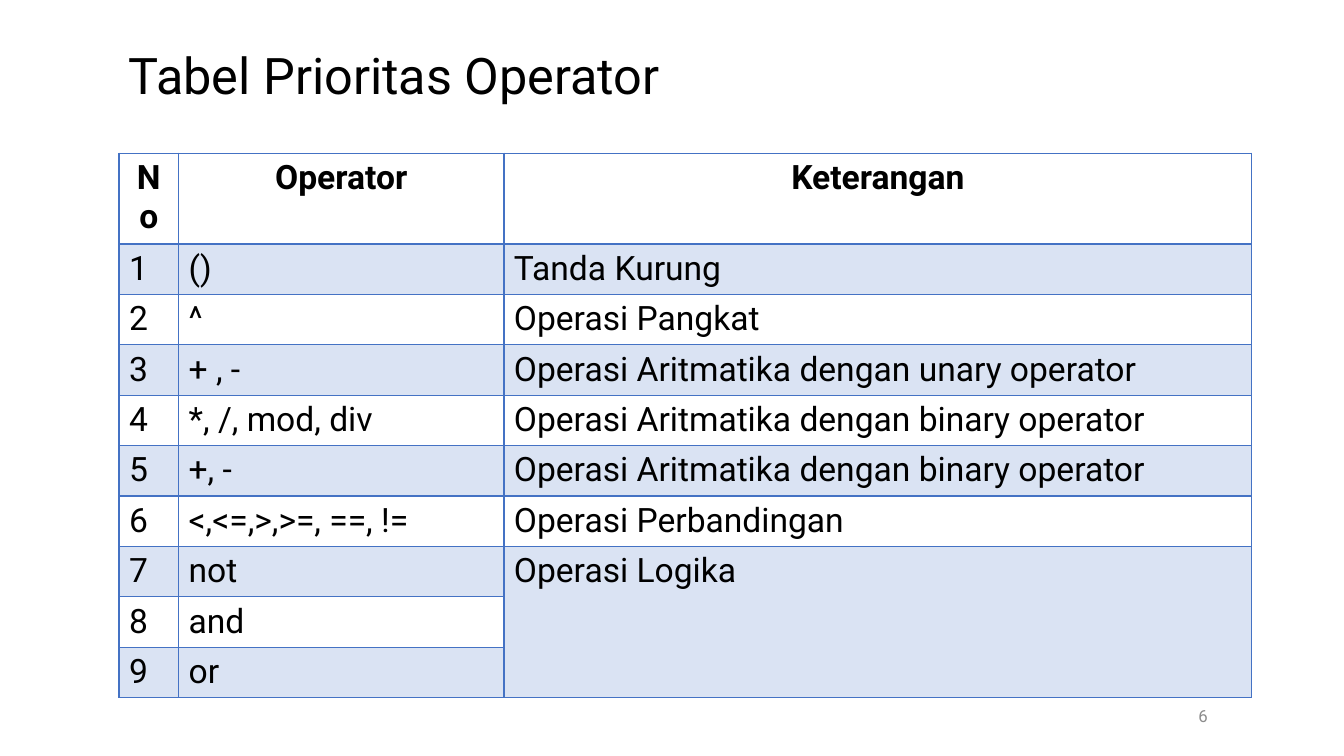
from dataclasses import dataclass

from lxml import etree
from pptx import Presentation
from pptx.dml.color import RGBColor
from pptx.enum import text as tx
from pptx.oxml import ns
from pptx.util import Cm, Pt

HUES = {"ink": "000000", "line": "4472C4", "band": "DAE3F3", "page": "8C8C8C"}
FONT = "Roboto"
WIDTHS = (1.5, 8.2, 18.85)
HEAD = ("No", "Operator", "Keterangan")
TOP, TALL = 2.29, 1.27


@dataclass
class Rank:
    sign: str
    note: str = ""


@dataclass
class Label:
    words: str
    box: tuple[float, float, float, float]
    size: int
    hue: str = "ink"
    align: tx.PP_ALIGN = tx.PP_ALIGN.LEFT
    lead: float = 1.0


RANKS = (
    Rank("()", "Tanda Kurung"),
    Rank("^", "Operasi Pangkat"),
    Rank("+ , -", "Operasi Aritmatika dengan unary operator"),
    Rank("*, /, mod, div", "Operasi Aritmatika dengan binary operator"),
    Rank("+, -", "Operasi Aritmatika dengan binary operator"),
    Rank("<,<=,>,>=, ==, !=", "Operasi Perbandingan"),
    Rank("not", "Operasi Logika"),
    Rank("and"),
    Rank("or"),
)
LABELS = (
    Label("6", (6.99, 17.53, 23.7, 1.02), 12, "page", tx.PP_ALIGN.RIGHT),
    Label("Tabel Prioritas Operator", (3, 1.02, 25.17, 1.88), 36, lead=0.9),
)


def write(frame, words: str, *, size: int = 24, hue: str = "ink",
          bold: bool = False, align=tx.PP_ALIGN.LEFT, lead: float = 1.0) -> None:
    para = frame.paragraphs[0]
    para.alignment = align
    para.line_spacing = lead
    run = para.add_run()
    run.text = words
    font = run.font
    font.name, font.size, font.bold = FONT, Pt(size), bold
    font.color.rgb = RGBColor.from_string(HUES[hue])


def edge(cell, **sides: float) -> None:
    """Draw cell borders; each side (L, R, T, B) has a width in points."""
    props = cell._tc.get_or_add_tcPr()
    for side, width in sides.items():
        line = etree.SubElement(props, ns.qn(f"a:ln{side}"), w=str(Pt(width)))
        fill = etree.SubElement(line, ns.qn("a:solidFill"))
        etree.SubElement(fill, ns.qn("a:srgbClr"), val=HUES["line"])


def paint(cell, band: bool) -> None:
    if band:
        cell.fill.solid()
        cell.fill.fore_color.rgb = RGBColor.from_string(HUES["band"])
    else:
        cell.fill.background()


def grid(slide) -> None:
    rows = [HEAD] + [(str(i), r.sign, r.note) for i, r in enumerate(RANKS, 1)]
    shape = slide.shapes.add_table(
        len(rows), len(HEAD), Cm(3), Cm(3.86),
        Cm(sum(WIDTHS)), Cm(TOP + TALL * len(RANKS)))
    table = shape.table
    table.first_row = table.horz_banding = False
    for col, width in zip(table.columns, WIDTHS):
        col.width = Cm(width)
    for i, row in enumerate(rows):
        head = i == 0
        table.rows[i].height = Cm(TOP if head else TALL)
        for j, words in enumerate(row):
            cell = table.cell(i, j)
            edge(cell, L=1, R=1, T=2 if i == 1 else 1, B=2 if head else 1)
            paint(cell, i % 2 == 1)
            if words:
                write(cell.text_frame, words, bold=head,
                      align=tx.PP_ALIGN.CENTER if head else tx.PP_ALIGN.LEFT)
    table.cell(7, 2).merge(table.cell(9, 2))


def label(slide, item: Label) -> None:
    frame = slide.shapes.add_textbox(*map(Cm, item.box)).text_frame
    frame.word_wrap = True
    frame.vertical_anchor = tx.MSO_ANCHOR.MIDDLE
    write(frame, item.words, size=item.size, hue=item.hue,
          align=item.align, lead=item.lead)


def main() -> None:
    deck = Presentation()
    deck.slide_width, deck.slide_height = Cm(33.87), Cm(19.05)
    slide = deck.slides.add_slide(deck.slide_layouts[6])
    grid(slide)
    for item in LABELS:
        label(slide, item)
    deck.save("out.pptx")


if __name__ == "__main__":
    main()
